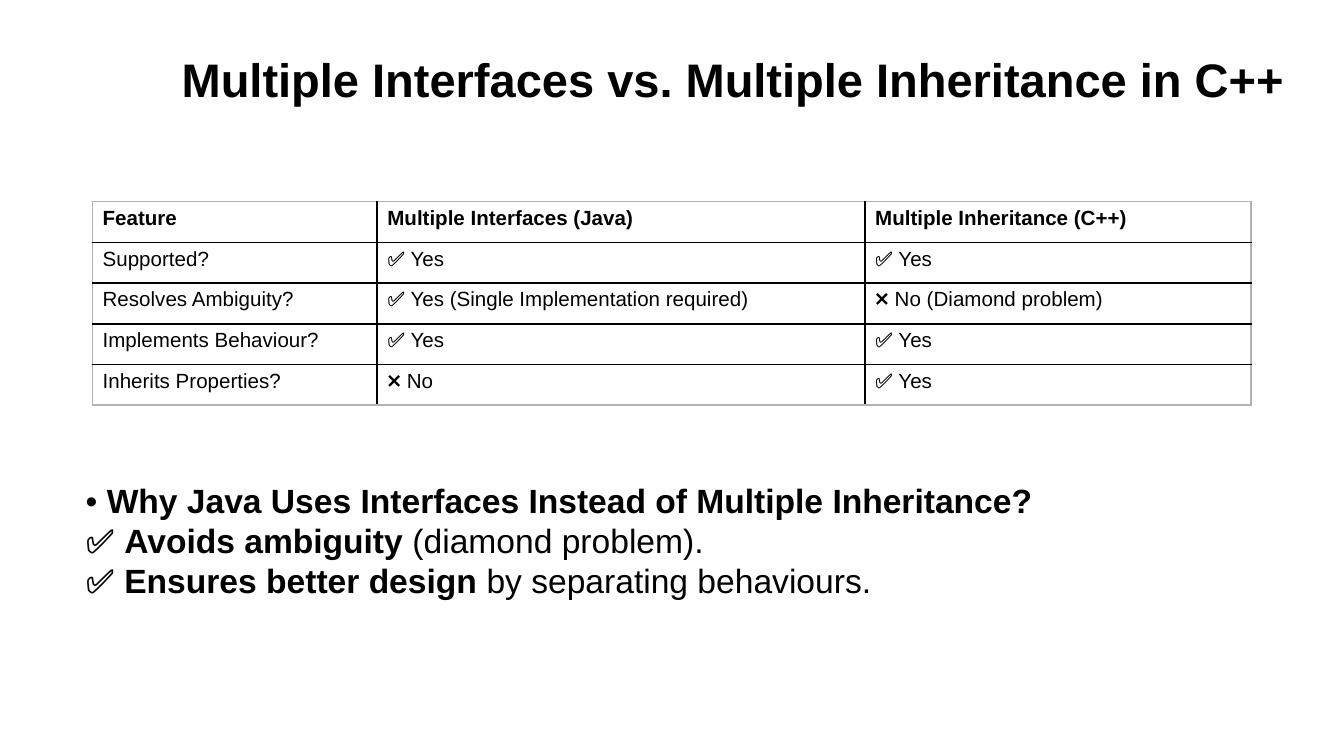
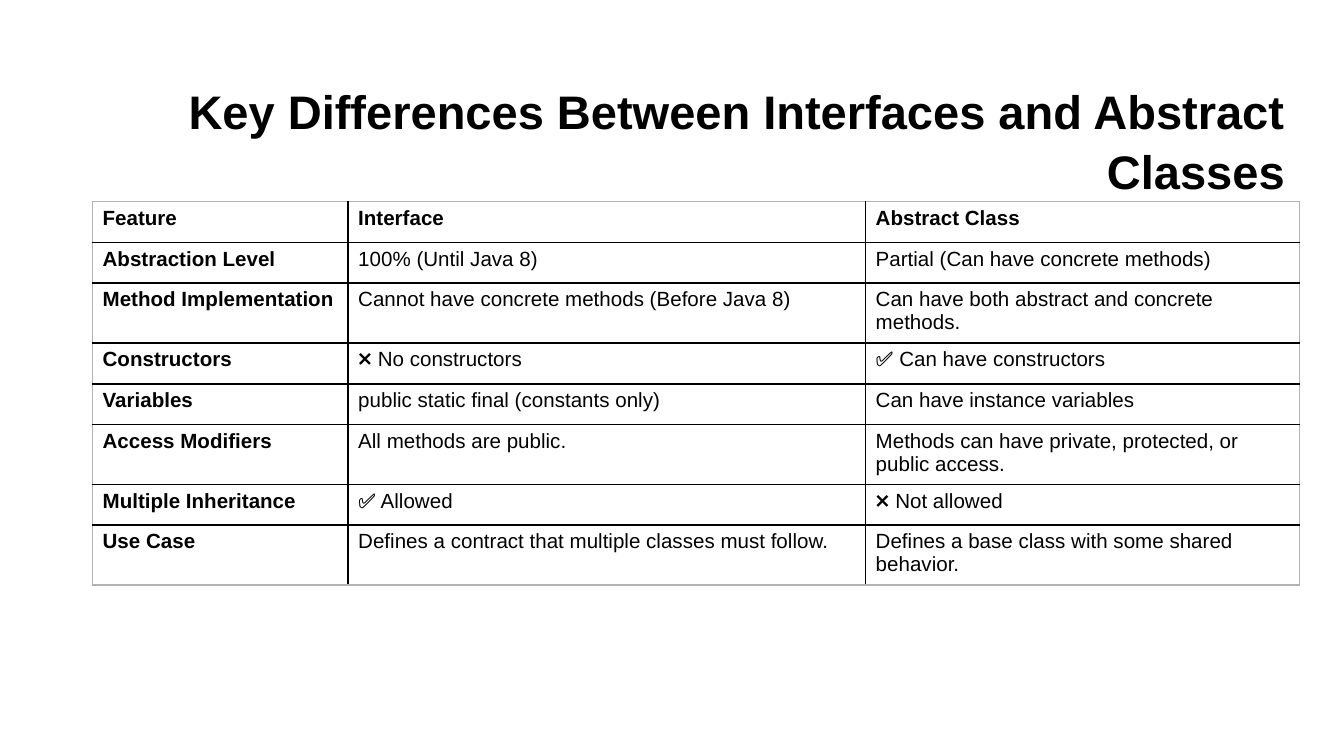
"""Build two slides comparing Java interfaces with inheritance and abstract classes."""
from lxml import etree
from pptx import Presentation
from pptx.dml.color import RGBColor
from pptx.enum import text
from pptx.oxml import ns
from pptx.util import Cm, Pt

BLACK = RGBColor(0x00, 0x00, 0x00)
EDGE_GREY = RGBColor(0xB2, 0xB2, 0xB2)
FONT = "Arial"
TITLE_SIZE, BODY_SIZE, CELL_SIZE = 25.2, 18, 11
TABLE_LEFT, TABLE_TOP = 1.75, 3.81
ROW_HEIGHT, TALL_ROW_HEIGHT = 0.77, 1.07


def add_span(para, words, size, bold=False):
    span = para.add_run()
    span.text = words
    span.font.name = FONT
    span.font.size = Pt(size)
    span.font.bold = bold
    span.font.color.rgb = BLACK


def add_border(cell, side, color):
    line = etree.SubElement(cell._tc.get_or_add_tcPr(), ns.qn(f"a:ln{side}"), w=str(Pt(1)))
    fill = etree.SubElement(line, ns.qn("a:solidFill"))
    etree.SubElement(fill, ns.qn("a:srgbClr"), val=str(color))


slides = [
    {
        "title": "Multiple Interfaces vs. Multiple Inheritance in C++",
        "title_place": (3.12, 0.64, 21.41, 1.9),
        "widths": (5.38, 9.22, 7.29),
        "tall_rows": (),
        "bold_first_column": False,
        "rows": [
            ("Feature", "Multiple Interfaces (Java)", "Multiple Inheritance (C++)"),
            ("Supported?", "✅ Yes", "✅ Yes"),
            ("Resolves Ambiguity?", "✅ Yes (Single Implementation required)", "❌ No (Diamond problem)"),
            ("Implements Behaviour?", "✅ Yes", "✅ Yes"),
            ("Inherits Properties?", "❌ No", "✅ Yes"),
        ],
        "reasons": [
            ("• ", "Why Java Uses Interfaces Instead of Multiple Inheritance?", ""),
            ("✅ ", "Avoids ambiguity", " (diamond problem)."),
            ("✅ ", "Ensures better design", " by separating behaviours."),
        ],
    },
    {
        "title": "Key Differences Between Interfaces and Abstract Classes",
        "title_place": (0.86, 1.24, 23.67, 1.6),
        "widths": (4.83, 9.78, 8.2),
        "tall_rows": (2, 5, 7),
        "bold_first_column": True,
        "rows": [
            ("Feature", "Interface", "Abstract Class"),
            ("Abstraction Level", "100% (Until Java 8)", "Partial (Can have concrete methods)"),
            ("Method Implementation", "Cannot have concrete methods (Before Java 8)",
             "Can have both abstract and concrete methods."),
            ("Constructors", "❌ No constructors", "✅ Can have constructors"),
            ("Variables", "public static final (constants only)", "Can have instance variables"),
            ("Access Modifiers", "All methods are public.",
             "Methods can have private, protected, or public access."),
            ("Multiple Inheritance", "✅ Allowed", "❌ Not allowed"),
            ("Use Case", "Defines a contract that multiple classes must follow.",
             "Defines a base class with some shared behavior."),
        ],
        "reasons": [],
    },
]

deck = Presentation()
deck.slide_width, deck.slide_height = Cm(25.4), Cm(14.29)

for content in slides:
    page = deck.slides.add_slide(deck.slide_layouts[6])

    title_box = page.shapes.add_textbox(*map(Cm, content["title_place"]))
    frame = title_box.text_frame
    frame.word_wrap = True
    frame.vertical_anchor = text.MSO_ANCHOR.TOP
    frame.margin_left = frame.margin_right = frame.margin_top = frame.margin_bottom = Cm(0.25)
    para = frame.paragraphs[0]
    para.alignment = text.PP_ALIGN.RIGHT
    para.line_spacing = 1.06
    add_span(para, content["title"], TITLE_SIZE, bold=True)

    rows, widths = content["rows"], content["widths"]
    heights = [TALL_ROW_HEIGHT if number in content["tall_rows"] else ROW_HEIGHT for number in range(len(rows))]
    table = page.shapes.add_table(
        len(rows), len(widths), Cm(TABLE_LEFT), Cm(TABLE_TOP), Cm(sum(widths)), Cm(sum(heights))
    ).table
    table.first_row = table.horz_banding = False
    for column, width in zip(table.columns, widths):
        column.width = Cm(width)
    for row, height in zip(table.rows, heights):
        row.height = Cm(height)

    last_row, last_column = len(rows) - 1, len(widths) - 1
    for r, row in enumerate(rows):
        for c, words in enumerate(row):
            cell = table.cell(r, c)
            cell.margin_left = cell.margin_right = Cm(0.19)
            cell.margin_top = cell.margin_bottom = Cm(0.1)
            outer_sides = {"L": c == 0, "R": c == last_column, "T": r == 0, "B": r == last_row}
            for side, is_outer in outer_sides.items():
                add_border(cell, side, EDGE_GREY if is_outer else BLACK)
            cell.fill.background()
            bold = r == 0 or (c == 0 and content["bold_first_column"])
            add_span(cell.text_frame.paragraphs[0], words, CELL_SIZE, bold)

    if content["reasons"]:
        reasons_box = page.shapes.add_textbox(Cm(1.37), Cm(8.94), Cm(20.02), Cm(2.57))
        frame = reasons_box.text_frame
        frame.word_wrap = True
        for number, (mark, key_words, rest) in enumerate(content["reasons"]):
            para = frame.add_paragraph() if number else frame.paragraphs[0]
            add_span(para, mark, BODY_SIZE)
            add_span(para, key_words, BODY_SIZE, bold=True)
            if rest:
                add_span(para, rest, BODY_SIZE)

deck.save("out.pptx")
